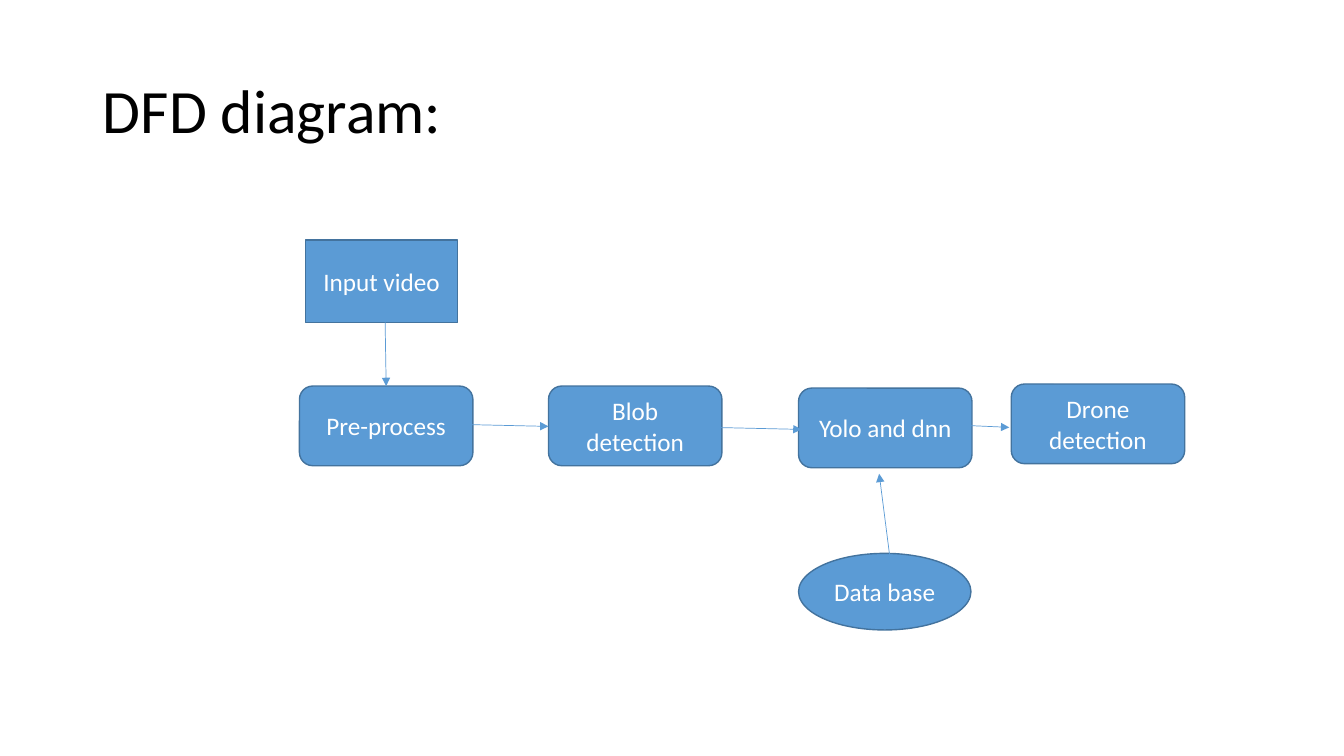
"""Builds a slide with the data flow diagram of a drone detection system."""
import pptx
import pptx.util
import pptx.dml.color
import pptx.enum.shapes
import pptx.enum.text
import pptx.oxml
import pptx.oxml.ns

Inches = pptx.util.Inches
SHAPE = pptx.enum.shapes.MSO_SHAPE
ALIGN = pptx.enum.text.PP_ALIGN
COLORS = {"title": "000000", "node": "5B9BD5", "outline": "43739E", "label": "FFFFFF"}


def rgb(part):
    return pptx.dml.color.RGBColor.from_string(COLORS[part])


def write(frame, text, size=18, color="label", align=ALIGN.CENTER, spacing=1.0):
    frame.word_wrap = True
    frame.auto_size = pptx.enum.text.MSO_AUTO_SIZE.NONE
    frame.vertical_anchor = pptx.enum.text.MSO_ANCHOR.MIDDLE
    frame.margin_left = frame.margin_right = Inches(0.1)
    frame.margin_top = frame.margin_bottom = Inches(0.05)
    paragraph = frame.paragraphs[0]
    paragraph.alignment = align
    paragraph.line_spacing = spacing
    run = paragraph.add_run()
    run.text = text
    run.font.name = "Calibri"
    run.font.size = pptx.util.Pt(size)
    run.font.color.rgb = rgb(color)


deck = pptx.Presentation()
deck.slide_width, deck.slide_height = Inches(13.33), Inches(7.5)
slide = deck.slides.add_slide(deck.slide_layouts[5])

title = slide.shapes.title
title.left, title.top = Inches(0.92), Inches(0.4)
title.width, title.height = Inches(11.5), Inches(1.45)
write(title.text_frame, "DFD diagram:", size=44, color="title", align=ALIGN.LEFT, spacing=0.9)

STEP_SIZE = (1.72, 0.79)
nodes = [
    ("Input video", SHAPE.RECTANGLE, (3.03, 2.38), (1.51, 0.82)),
    ("Pre-process", SHAPE.ROUNDED_RECTANGLE, (2.97, 3.83), STEP_SIZE),
    ("Blob detection", SHAPE.ROUNDED_RECTANGLE, (5.44, 3.83), STEP_SIZE),
    ("Data base", SHAPE.OVAL, (7.92, 5.49), (1.71, 0.76)),
    ("Yolo and dnn", SHAPE.ROUNDED_RECTANGLE, (7.92, 3.85), STEP_SIZE),
    ("Drone detection", SHAPE.ROUNDED_RECTANGLE, (10.03, 3.81), STEP_SIZE),
]
for label, outline, position, size in nodes:
    node = slide.shapes.add_shape(outline, *map(Inches, position + size))
    node.shadow.inherit = False
    node.fill.solid()
    node.fill.fore_color.rgb = rgb("node")
    node.line.color.rgb = rgb("outline")
    node.line.width = pptx.util.Pt(1)
    write(node.text_frame, label)

flows = [
    ((3.82, 3.19), (3.83, 3.83)),
    ((4.54, 4.21), (5.44, 4.23)),
    ((8.83, 5.56), (8.72, 4.7)),
    ((7.05, 4.24), (7.95, 4.26)),
    ((9.56, 4.22), (10.01, 4.24)),
]
for start, end in flows:
    flow = slide.shapes.add_connector(
        pptx.enum.shapes.MSO_CONNECTOR.STRAIGHT, *map(Inches, start + end))
    flow.line.color.rgb = rgb("node")
    flow.line.width = pptx.util.Pt(0.5)
    arrowhead = pptx.oxml.parse_xml(
        f'<a:tailEnd {pptx.oxml.ns.nsdecls("a")} type="triangle"/>')
    flow.line._get_or_add_ln().append(arrowhead)
    no_effects = pptx.oxml.parse_xml(f'<a:effectLst {pptx.oxml.ns.nsdecls("a")}/>')
    flow._element.spPr.append(no_effects)

deck.save("out.pptx")
